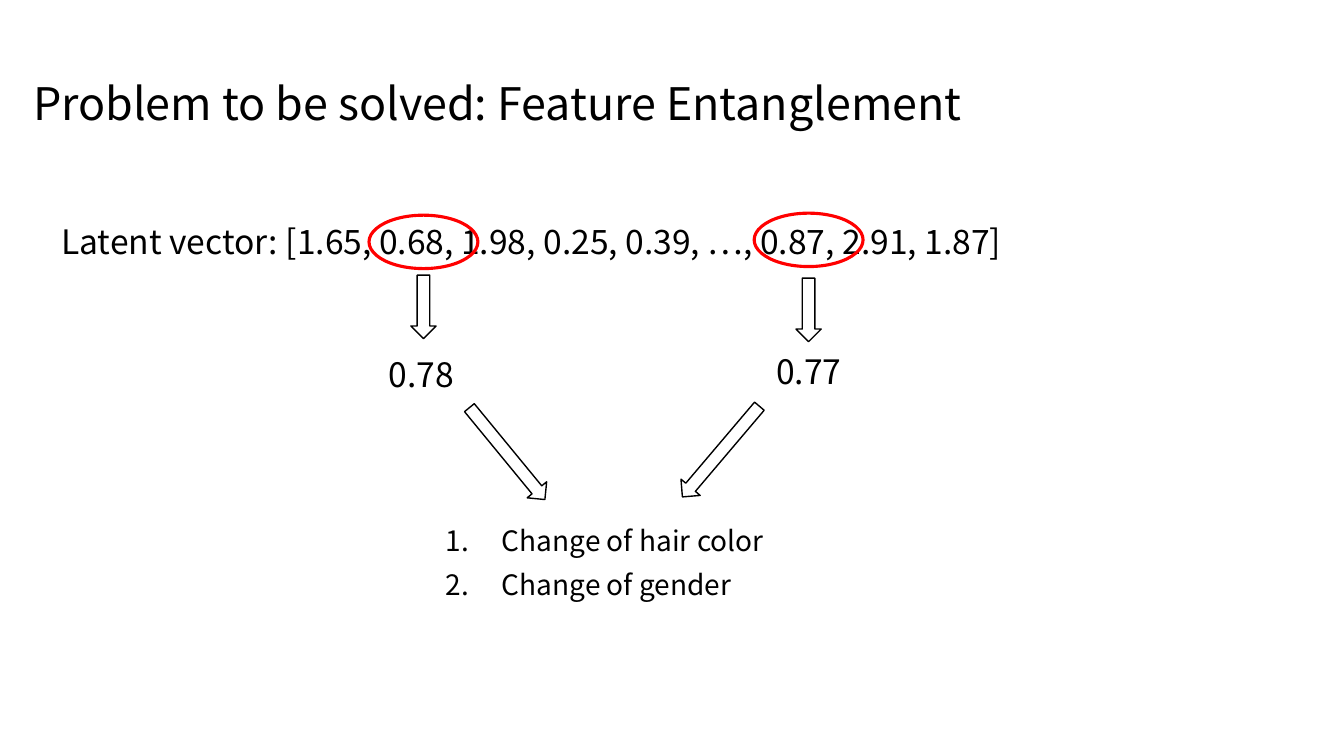
from lxml import etree
from pptx import Presentation, util as u
from pptx.dml.color import RGBColor
from pptx.enum import shapes, text
from pptx.oxml.ns import qn

BLACK = RGBColor(0x00, 0x00, 0x00)
WHITE = RGBColor(0xFF, 0xFF, 0xFF)
RED = RGBColor(0xFF, 0x00, 0x00)
FONT = "Noto Sans CJK SC"
WIDTH, HEIGHT = 13.33, 7.5

TITLE = "Problem to be solved: Feature Entanglement"
LATENT_VECTOR = "Latent vector: [1.65, 0.68, 1.98, 0.25, 0.39, …, 0.87, 2.91, 1.87]"
EFFECTS = ["Change of hair color", "Change of gender"]

# Each changed feature: new value, its box, circle centre,
# top of the down arrow, centre and turn of the slanted arrow
FEATURES = [
    ("0.78", (3.76, 3.51, 7.07, 0.63), (4.2, 2.4), 2.73, (5.03, 4.5), 320.6),
    ("0.77", (7.6, 3.48, 2.74, 0.63), (8.02, 2.38), 2.76, (7.15, 4.48), 40.3),
]
CIRCLE = (1.08, 0.53)
ARROW_WIDTH, DOWN_LENGTH, SLANT_LENGTH = 0.25, 0.63, 1.18
NUMBER_INDENT = 0.56

prs = Presentation()
prs.slide_width, prs.slide_height = u.Inches(WIDTH), u.Inches(HEIGHT)
slide = prs.slides.add_slide(prs.slide_layouts[6])


def add_text(box, lines, size, numbered=False, anchor=text.MSO_ANCHOR.TOP, **spacing):
    frame = slide.shapes.add_textbox(*map(u.Inches, box)).text_frame
    frame.word_wrap = True
    frame.vertical_anchor = anchor
    layout = {"line_spacing": 0.9, "space_before": u.Pt(10), **spacing}
    for index, line in enumerate(lines):
        paragraph = frame.paragraphs[0] if index == 0 else frame.add_paragraph()
        for name, value in layout.items():
            setattr(paragraph, name, value)
        run = paragraph.add_run()
        run.text = line
        run.font.name, run.font.size = FONT, u.Pt(size)
        run.font.color.rgb = BLACK
        if numbered:
            props = paragraph._p.get_or_add_pPr()
            props.set("marL", str(u.Inches(NUMBER_INDENT)))
            props.set("indent", str(-u.Inches(NUMBER_INDENT)))
            etree.SubElement(props, qn("a:buFont"), typeface="+mj-lt")
            etree.SubElement(props, qn("a:buAutoNum"), type="arabicPeriod")


def add_outlined(kind, centre, size, color, weight, fill=None, turn=0):
    """Draw a preset shape around its centre point."""
    corner = [c - s / 2 for c, s in zip(centre, size)]
    shape = slide.shapes.add_shape(kind, *map(u.Inches, (*corner, *size)))
    shape.shadow.inherit = False
    shape.rotation = turn
    shape.line.color.rgb, shape.line.width = color, u.Pt(weight)
    if fill is None:
        shape.fill.background()
    else:
        shape.fill.solid()
        shape.fill.fore_color.rgb = fill


def add_arrow(centre, length, turn=0):
    add_outlined(shapes.MSO_SHAPE.DOWN_ARROW, centre, (ARROW_WIDTH, length),
                 BLACK, 1, WHITE, turn)


add_text((0.23, 0.28, 9.84, 1.05), [TITLE], 32, anchor=text.MSO_ANCHOR.BOTTOM,
         line_spacing=1.5, space_before=u.Pt(0))
add_text((0.51, 2.19, 10.97, 0.63), [LATENT_VECTOR], 24)
add_text((4.32, 5.18, 7.99, 1.14), EFFECTS, 20, numbered=True)

for value, value_box, circle_centre, down_top, slant_centre, turn in FEATURES:
    add_outlined(shapes.MSO_SHAPE.OVAL, circle_centre, CIRCLE, RED, 2.25)
    add_arrow((circle_centre[0], down_top + DOWN_LENGTH / 2), DOWN_LENGTH)
    add_text(value_box, [value], 24)
    add_arrow(slant_centre, SLANT_LENGTH, turn)

prs.save("out.pptx")
